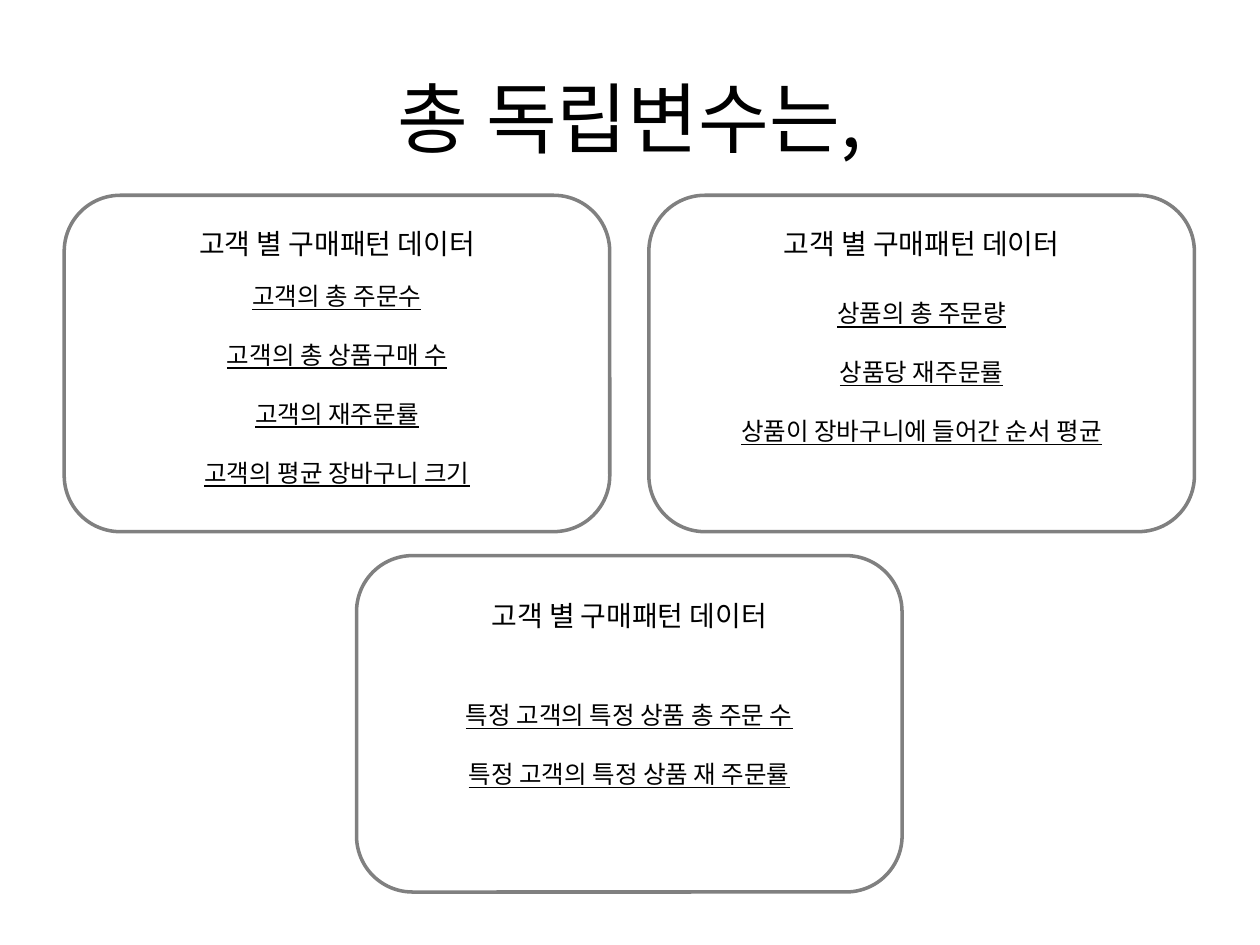
from lxml.etree import SubElement
from pptx import Presentation
from pptx.dml.color import RGBColor
from pptx.enum.shapes import MSO_SHAPE
from pptx.enum.text import MSO_ANCHOR, MSO_AUTO_SIZE, PP_ALIGN
from pptx.oxml.ns import qn
from pptx.util import Inches, Pt

FONT = "Noto Sans CJK KR"
COLORS = {"text": "000000", "border": "808080"}
CARD_WIDTH, CARD_HEIGHT = 4.33, 2.67
HEADING_WIDTH, LIST_WIDTH = 3.07, 3.86
HEADING = "고객 별 구매패턴 데이터"

# card left, card top, heading top, list top, list height, variables
CARDS = [
    (0.51, 1.55, 1.74, 2.17, 1.99,
     ["고객의 총 주문수", "고객의 총 상품구매 수", "고객의 재주문률", "고객의 평균 장바구니 크기"]),
    (5.15, 1.55, 1.74, 2.31, 1.51,
     ["상품의 총 주문량", "상품당 재주문률", "상품이 장바구니에 들어간 순서 평균"]),
    (2.83, 4.41, 4.69, 5.5, 1.04,
     ["특정 고객의 특정 상품 총 주문 수", "특정 고객의 특정 상품 재 주문률"]),
]


def add_run(paragraph, text, size, underline=None):
    paragraph.alignment = PP_ALIGN.CENTER
    run = paragraph.add_run()
    run.text = text
    run.font.size = Pt(size)
    run.font.underline = underline
    run.font.color.rgb = RGBColor.from_string(COLORS["text"])
    run.font.name = FONT
    # Korean glyphs take the East Asian typeface
    SubElement(run.font._element, qn("a:ea"), typeface=FONT)


def add_title(slide, text):
    title = slide.shapes.title
    title.left, title.top = Inches(0.5), Inches(0.3)
    title.width, title.height = Inches(9), Inches(1.25)
    title.text_frame.auto_size = MSO_AUTO_SIZE.NONE
    title.text_frame.vertical_anchor = MSO_ANCHOR.MIDDLE
    add_run(title.text_frame.paragraphs[0], text, 44)


def add_frame(slide, left, top):
    frame = slide.shapes.add_shape(
        MSO_SHAPE.ROUNDED_RECTANGLE,
        Inches(left), Inches(top), Inches(CARD_WIDTH), Inches(CARD_HEIGHT))
    frame.shadow.inherit = False
    frame.fill.background()
    frame.line.color.rgb = RGBColor.from_string(COLORS["border"])
    frame.line.width = Pt(2)


def add_lines(slide, center, top, width, height, lines, size, line_height,
              gap=0, underline=None):
    """Add a centred text box with one paragraph for each line."""
    box = slide.shapes.add_textbox(
        Inches(center - width / 2), Inches(top), Inches(width), Inches(height))
    text_frame = box.text_frame
    text_frame.word_wrap = True
    for index, line in enumerate(lines):
        paragraph = text_frame.add_paragraph() if index else text_frame.paragraphs[0]
        paragraph.line_spacing = Pt(line_height)
        paragraph.space_before = Pt(gap if index else 0)
        add_run(paragraph, line, size, underline)


def add_card(slide, left, top, heading_top, list_top, list_height, variables):
    center = left + CARD_WIDTH / 2
    add_frame(slide, left, top)
    add_lines(slide, center, heading_top, HEADING_WIDTH, 0.37, [HEADING], 16, 20)
    add_lines(slide, center, list_top, LIST_WIDTH, list_height, variables, 14, 17.5,
              gap=16.2, underline=True)


def main():
    presentation = Presentation()
    presentation.slide_width, presentation.slide_height = Inches(10), Inches(7.5)
    slide = presentation.slides.add_slide(presentation.slide_layouts[5])
    add_title(slide, "총 독립변수는,")
    for card in CARDS:
        add_card(slide, *card)
    presentation.save("out.pptx")


if __name__ == "__main__":
    main()
